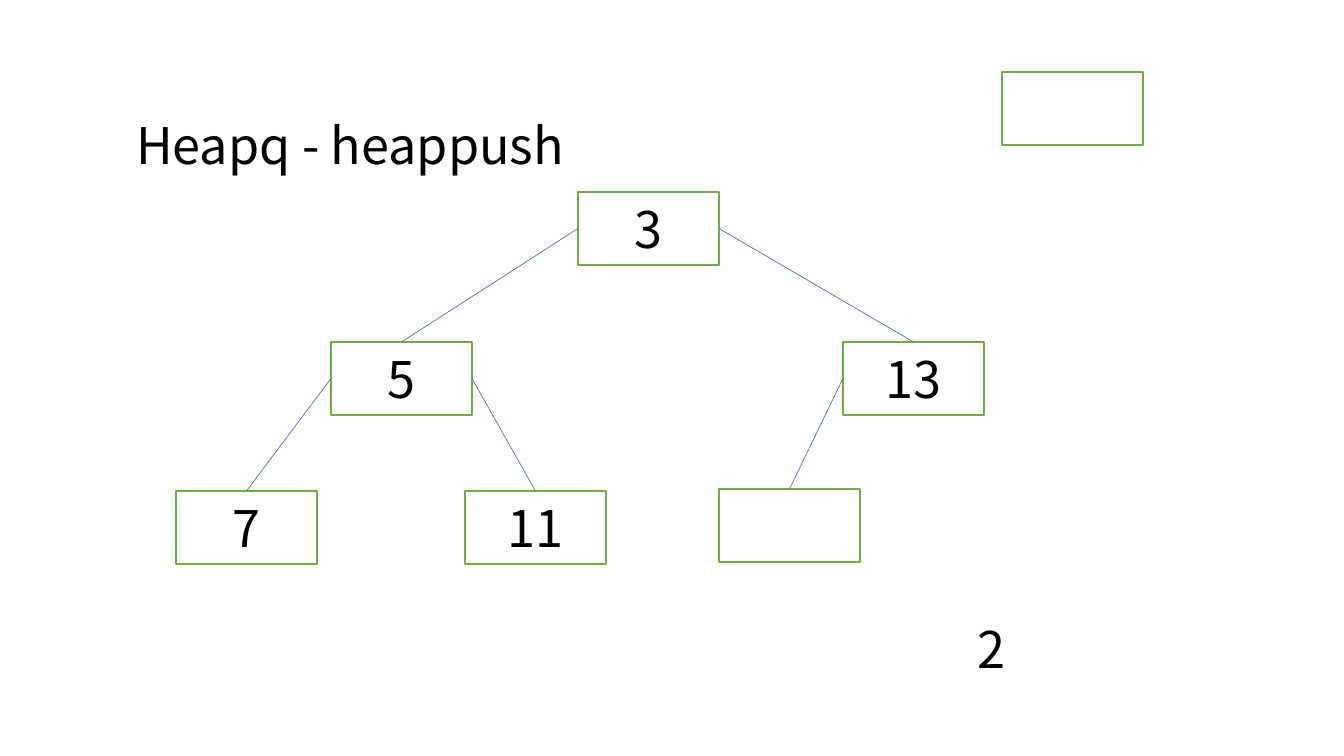
"""Build the heappush slide: a binary heap with one free leaf and a value to push."""
import pptx
import pptx.dml.color
import pptx.enum.shapes
import pptx.enum.text
import pptx.oxml
import pptx.oxml.ns
import pptx.util

PX = 914400 / 100.8
FONT = "Noto Sans CJK JP"
HUES = {"ink": "000000", "fill": "FFFFFF", "edge": "70AD47", "link": "4472C4"}
WIDE, HIGH, TALL = 141, 73, 72
TOP, LEFT, RIGHT = 0, 1, 3


def place(*sizes):
    return [pptx.util.Emu(round(size * PX)) for size in sizes]


def write(frame, text, align, anchor):
    frame.text = text
    frame.word_wrap = True
    frame.auto_size = pptx.enum.text.MSO_AUTO_SIZE.NONE
    frame.vertical_anchor = anchor
    line = frame.paragraphs[0]
    line.alignment = align
    line.line_spacing = 1.0
    font = line.runs[0].font
    font.name = FONT
    font.size = pptx.util.Pt(36)
    font.color.rgb = pptx.dml.color.RGBColor.from_string(HUES["ink"])


deck = pptx.Presentation()
deck.slide_width, deck.slide_height = place(1344, 756)
slide = deck.slides.add_slide(deck.slide_layouts[5])
shapes = slide.shapes

title = shapes.title
title.left, title.top, title.width, title.height = place(126, 109, 706, TALL)
write(title.text_frame, "Heapq - heappush",
      pptx.enum.text.PP_ALIGN.LEFT, pptx.enum.text.MSO_ANCHOR.TOP)

spots = {
    "free": (719, 489),
    "11": (465, 491),
    "7": (176, 491),
    "13": (843, 342),
    "spare": (1002, 72),
    "5": (331, 342),
    "3": (578, 192),
}
nodes = {}
for name, (x, y) in spots.items():
    node = shapes.add_shape(pptx.enum.shapes.MSO_SHAPE.RECTANGLE, *place(x, y, WIDE, HIGH))
    node.shadow.inherit = False
    node.fill.solid()
    node.fill.fore_color.rgb = pptx.dml.color.RGBColor.from_string(HUES["fill"])
    node.line.color.rgb = pptx.dml.color.RGBColor.from_string(HUES["edge"])
    node.line.width = pptx.util.Pt(1)
    if name.isdigit():
        write(node.text_frame, name,
              pptx.enum.text.PP_ALIGN.CENTER, pptx.enum.text.MSO_ANCHOR.MIDDLE)
    nodes[name] = node

pushed = shapes.add_textbox(*place(921, 612, WIDE, TALL))
write(pushed.text_frame, "2",
      pptx.enum.text.PP_ALIGN.CENTER, pptx.enum.text.MSO_ANCHOR.MIDDLE)

links = [("5", LEFT, "7"), ("5", RIGHT, "11"), ("3", LEFT, "5"),
         ("3", RIGHT, "13"), ("13", LEFT, "free")]
for parent, side, child in links:
    start, end = nodes[parent], nodes[child]
    link = shapes.add_connector(pptx.enum.shapes.MSO_CONNECTOR.STRAIGHT,
                                start.left, start.top, end.left, end.top)
    link.begin_connect(start, side)
    link.end_connect(end, TOP)
    link.line.color.rgb = pptx.dml.color.RGBColor.from_string(HUES["link"])
    link.line.width = pptx.util.Pt(0.5)
    link._element.spPr.append(pptx.oxml.parse_xml(
        f"<a:effectLst {pptx.oxml.ns.nsdecls('a')}/>"))

deck.save("out.pptx")
